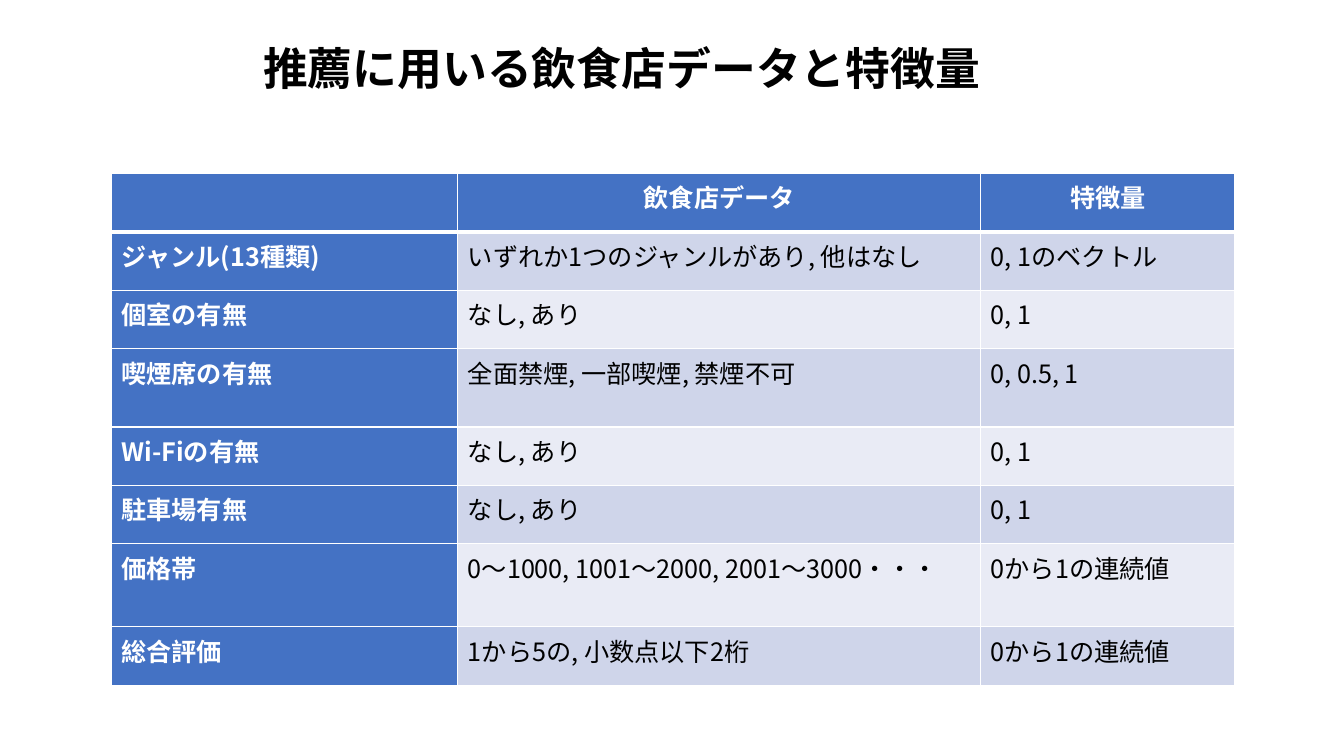
from lxml import etree
from pptx import Presentation
from pptx.dml.color import RGBColor
from pptx.enum.text import MSO_ANCHOR, PP_ALIGN
from pptx.oxml.ns import qn
from pptx.util import Pt

TOP = MSO_ANCHOR.TOP
LEFT, CENTER = PP_ALIGN.LEFT, PP_ALIGN.CENTER

BLACK = RGBColor(0x00, 0x00, 0x00)
WHITE = RGBColor(0xFF, 0xFF, 0xFF)
BLUE = RGBColor(0x44, 0x72, 0xC4)
BAND_DARK = RGBColor(0xCF, 0xD5, 0xEA)
BAND_LIGHT = RGBColor(0xE9, 0xEB, 0xF5)
FONT = "Noto Sans CJK JP"

COL_WIDTHS = [247.5, 373.5, 181.7]
ROW_HEIGHT = 41.7
SMOKING_ROW, SMOKING_HEIGHT = 3, 56
ROWS = [
    ("", "飲食店データ", "特徴量"),
    ("ジャンル(13種類)", "いずれか1つのジャンルがあり, 他はなし", "0, 1のベクトル"),
    ("個室の有無", "なし, あり", "0, 1"),
    ("喫煙席の有無", "全面禁煙, 一部喫煙, 禁煙不可", "0, 0.5, 1"),
    ("Wi-Fiの有無", "なし, あり", "0, 1"),
    ("駐車場有無", "なし, あり", "0, 1"),
    ("価格帯", "0〜1000, 1001〜2000, 2001〜3000・・・", "0から1の連続値"),
    ("総合評価", "1から5の, 小数点以下2桁", "0から1の連続値"),
]


def write_text(tf, text, size=18, color=BLACK, bold=False, align=LEFT):
    p = tf.paragraphs[0]
    p.alignment = align
    r = p.add_run()
    r.text = text
    r.font.size = Pt(size)
    r.font.bold = bold
    r.font.color.rgb = color
    r.font.name = FONT
    etree.SubElement(r.font._element, qn("a:ea"), typeface=FONT)
    return p


def set_borders(cell, bottom=1, top=1):
    """Draw white cell borders, placed ahead of the fill as the schema asks."""
    tc_pr = cell._tc.get_or_add_tcPr()
    widths = {"a:lnL": 1, "a:lnR": 1, "a:lnT": top, "a:lnB": bottom}
    for i, (tag, width) in enumerate(widths.items()):
        ln = etree.Element(qn(tag), w=str(Pt(width)))
        fill = etree.SubElement(ln, qn("a:solidFill"))
        etree.SubElement(fill, qn("a:srgbClr"), val=str(WHITE))
        tc_pr.insert(i, ln)


def add_title(s, text, left, top, width, height):
    title = s.shapes.title
    title.left, title.top = Pt(left), Pt(top)
    title.width, title.height = Pt(width), Pt(height)
    tf = title.text_frame
    tf.word_wrap = True
    tf.vertical_anchor = TOP
    p = write_text(tf, text, size=32, bold=True)
    p.line_spacing = 0.9
    p.space_before = Pt(10)


def add_feature_table(s, left, top):
    heights = [ROW_HEIGHT] * len(ROWS)
    heights[SMOKING_ROW] = SMOKING_HEIGHT
    frame = s.shapes.add_table(len(ROWS), len(COL_WIDTHS), Pt(left), Pt(top),
                               Pt(sum(COL_WIDTHS)), Pt(sum(heights)))
    table = frame.table
    table.first_col = True
    for col, width in zip(table.columns, COL_WIDTHS):
        col.width = Pt(width)
    for i, texts in enumerate(ROWS):
        table.rows[i].height = Pt(heights[i])
        band = BAND_DARK if i % 2 else BAND_LIGHT
        for j, text in enumerate(texts):
            cell = table.cell(i, j)
            heading = i == 0 or j == 0
            cell.fill.solid()
            cell.fill.fore_color.rgb = BLUE if heading else band
            set_borders(cell, bottom=3 if i == 0 else 1, top=3 if i == 1 else 1)
            if text:
                write_text(cell.text_frame, text, bold=heading,
                           color=WHITE if heading else BLACK,
                           align=CENTER if i == 0 else LEFT)


def main():
    prs = Presentation()
    prs.slide_width, prs.slide_height = Pt(960), Pt(540)
    s = prs.slides.add_slide(prs.slide_layouts.get_by_name("Title Only"))
    add_title(s, "推薦に用いる飲食店データと特徴量", 180.7, 29.5, 540.7, 46.8)
    add_feature_table(s, 79.5, 124)
    prs.save("out.pptx")


if __name__ == "__main__":
    main()
